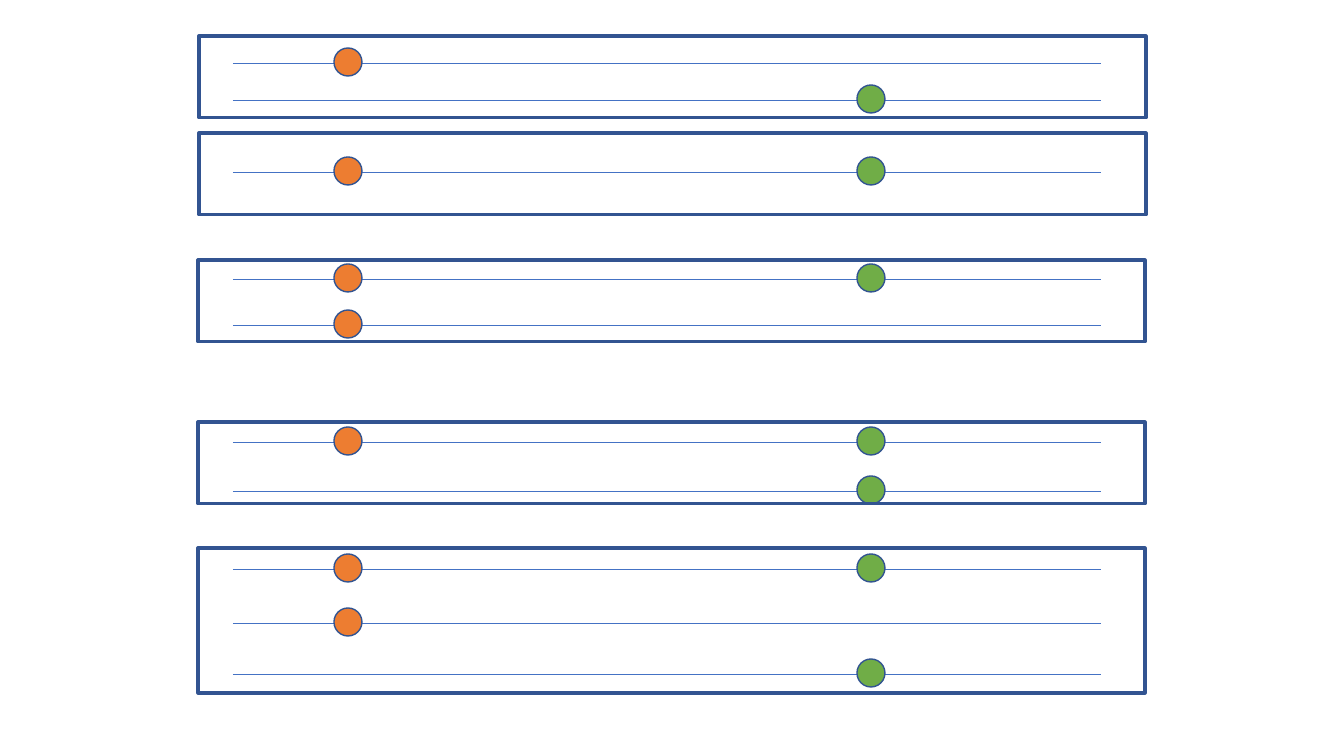
"""Draw five framed panels of tracks marked with orange and green dots."""
from lxml import etree
from pptx import Presentation
from pptx import util as u
from pptx.dml.color import RGBColor
from pptx.enum import shapes
from pptx.oxml import ns

SLIDE = (1344, 756)
PANELS = [
    {"frame": (199, 36, 947, 82), "tracks": [(63, ["orange"]), (100, ["green"])]},
    {"frame": (199, 133, 947, 82), "tracks": [(172, ["orange", "green"])]},
    {"frame": (198, 260, 947, 82), "tracks": [(279, ["orange", "green"]), (325, ["orange"])]},
    {"frame": (198, 422, 947, 82), "tracks": [(442, ["orange", "green"]), (491, ["green"])]},
    {"frame": (198, 548, 947, 145),
     "tracks": [(569, ["orange", "green"]), (623, ["orange"]), (674, ["green"])]},
]
DOTS = {"orange": (334, "ED7D31"), "green": (857, "70AD47")}
TRACK_LEFT, TRACK_RIGHT = 233, 1101
DOT_SIZE, DOT_RISE = 28, 15
OUTLINE, TRACK_COLOR = "325491", "4472C4"
FRAME_WIDTH, DOT_WIDTH, TRACK_WIDTH = 2.25, 1, 0.5
EMU_PER_PX = 914400 / 100.8


def px(*lengths):
    return [u.Emu(round(length * EMU_PER_PX)) for length in lengths]


def color(code):
    return RGBColor.from_string(code)


def set_line(part, code, width):
    part.line.color.rgb = color(code)
    part.line.width = u.Pt(width)


def add_outlined(parent, preset, box, width, fill=None):
    outlined = parent.add_shape(preset, *px(*box))
    outlined.shadow.inherit = False
    if fill:
        outlined.fill.solid()
        outlined.fill.fore_color.rgb = color(fill)
    else:
        outlined.fill.background()
    set_line(outlined, OUTLINE, width)


def add_track(parent, y, dots):
    group = parent.add_group_shape().shapes
    track = group.add_connector(
        shapes.MSO_CONNECTOR.STRAIGHT, *px(TRACK_LEFT, y, TRACK_RIGHT, y))
    set_line(track, TRACK_COLOR, TRACK_WIDTH)
    etree.SubElement(track._element.spPr, ns.qn("a:effectLst"))
    for dot in dots:
        left, fill = DOTS[dot]
        add_outlined(group, shapes.MSO_SHAPE.OVAL,
                     (left, y - DOT_RISE, DOT_SIZE, DOT_SIZE), DOT_WIDTH, fill)


def main():
    deck = Presentation()
    deck.slide_width, deck.slide_height = px(*SLIDE)
    canvas = deck.slides.add_slide(deck.slide_layouts[6]).shapes
    for panel in PANELS:
        for y, dots in panel["tracks"]:
            add_track(canvas, y, dots)
        add_outlined(canvas, shapes.MSO_SHAPE.RECTANGLE, panel["frame"], FRAME_WIDTH)
    deck.save("out.pptx")


if __name__ == "__main__":
    main()
